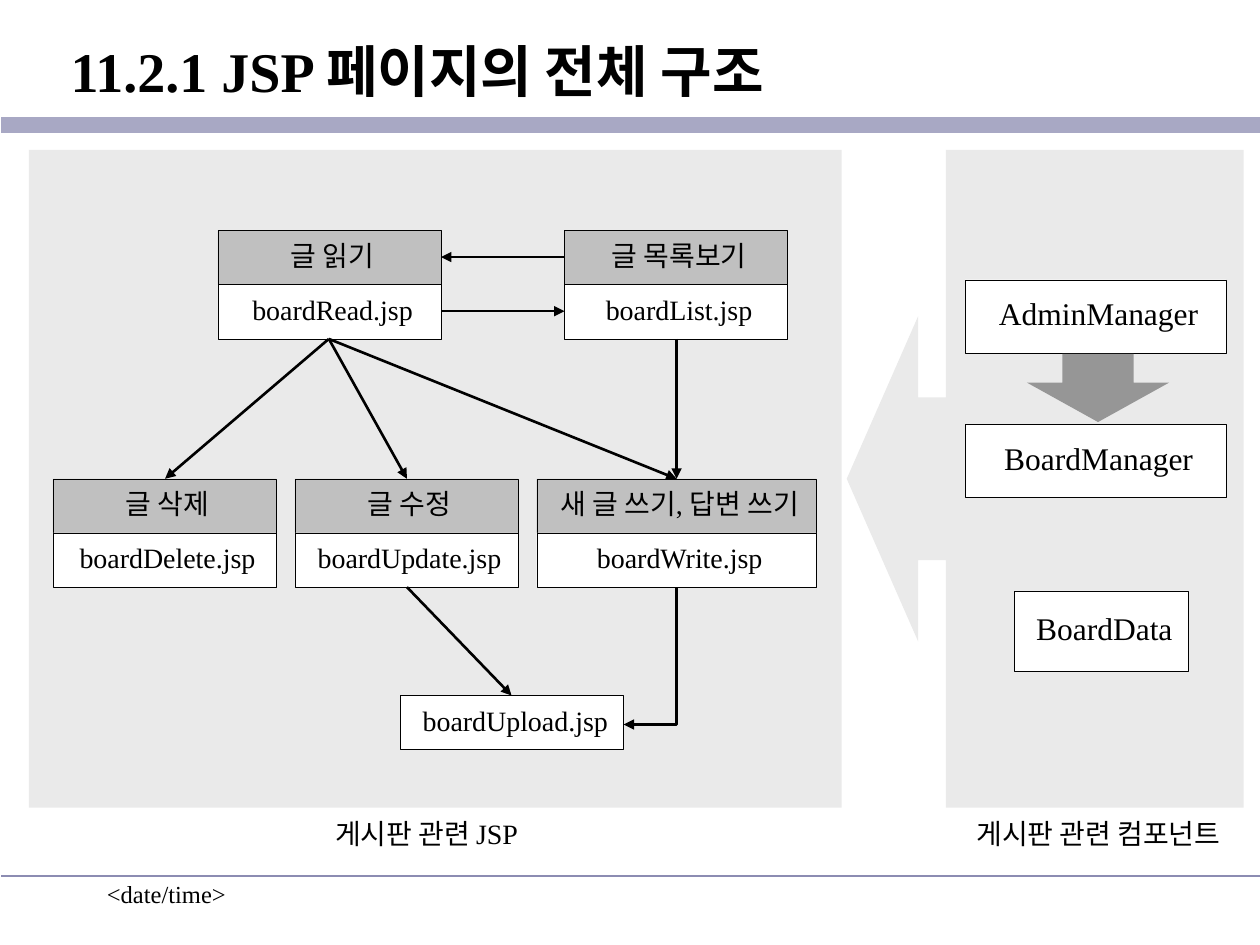
"""Build the slide on the overall structure of the board's JSP pages."""
from pptx import Presentation, util as u
from pptx.dml.color import RGBColor
from pptx.enum import shapes, text
from pptx.oxml.ns import qn
from lxml import etree

COLORS = {"black": "000000", "white": "FFFFFF", "panel": "EAEAEA", "header": "C0C0C0",
          "arrow": "969696", "bar": "A8A8C4", "rule": "8C8CB2"}
SHAPE = shapes.MSO_SHAPE
FONT = "Times New Roman"
WIDTH, HEIGHT = 10, 7.5
ROW = 0.43

presentation = Presentation()
presentation.slide_width, presentation.slide_height = u.Inches(WIDTH), u.Inches(HEIGHT)
slide = presentation.slides.add_slide(presentation.slide_layouts[5])


def add_box(kind, left, top, width, height, fill=None, border=False, label="", size=16):
    """Add a shape, or a text box when kind is None, with an optional label."""
    area = [u.Inches(value) for value in (left, top, width, height)]
    if kind is None:
        shape = slide.shapes.add_textbox(*area)
    else:
        shape = slide.shapes.add_shape(kind, *area)
        shape.shadow.inherit = False
        shape.fill.solid()
        shape.fill.fore_color.rgb = RGBColor.from_string(COLORS[fill])
        if border:
            shape.line.color.rgb = RGBColor.from_string(COLORS["black"])
            shape.line.width = u.Pt(0.26)
        else:
            shape.line.fill.background()
    if label:
        frame = shape.text_frame
        frame.text = label
        frame.margin_left, frame.margin_right = u.Inches(0.05), 0
        frame.margin_top = frame.margin_bottom = u.Inches(0.05)
        frame.word_wrap = kind is not None
        frame.vertical_anchor = text.MSO_ANCHOR.MIDDLE if kind else text.MSO_ANCHOR.TOP
        paragraph = frame.paragraphs[0]
        paragraph.alignment = text.PP_ALIGN.CENTER if kind else text.PP_ALIGN.LEFT
        paragraph.line_spacing = 0.85
        paragraph.space_before = u.Pt(size * 0.62)
        font = paragraph.runs[0].font
        font.name, font.size = FONT, u.Pt(size)
        font.color.rgb = RGBColor.from_string(COLORS["black"])
    return shape


def add_line(start, end, color="black", width=1.5, arrow=True):
    """Add a straight line, with an arrowhead at its end if asked."""
    points = [u.Inches(value) for value in (*start, *end)]
    line = slide.shapes.add_connector(shapes.MSO_CONNECTOR.STRAIGHT, *points)
    line.line.color.rgb = RGBColor.from_string(COLORS[color])
    line.line.width = u.Pt(width)
    if arrow:
        etree.SubElement(line.line._get_or_add_ln(), qn("a:tailEnd"), type="triangle")
    etree.SubElement(line._element.spPr, qn("a:effectLst"))
    return line


for top, color, width in [(0.99, "bar", 9.24), (6.95, "rule", 0.99)]:
    add_line((0.01, top), (WIDTH, top), color, width, arrow=False)

title = slide.shapes.title
title.left, title.top, title.width, title.height = [u.Inches(v) for v in (0.01, 0.11, 9.99, 0.9)]
title.text_frame.text = "11.2.1 JSP 페이지의 전체 구조"
title.text_frame.margin_left = u.Inches(0.55)
title.text_frame.vertical_anchor = text.MSO_ANCHOR.MIDDLE
title.text_frame.paragraphs[0].alignment = text.PP_ALIGN.LEFT
title_font = title.text_frame.paragraphs[0].runs[0].font
title_font.name, title_font.size, title_font.bold = FONT, u.Pt(32), True
title_font.color.rgb = RGBColor.from_string(COLORS["black"])

date = add_box(None, 0.75, 6.93, 2.08, 0.5, label="<date/time>", size=14)
date.text_frame.margin_left = u.Inches(0.1)
date.text_frame.paragraphs[0].line_spacing = 1.0
date.text_frame.paragraphs[0].space_before = u.Pt(0)

components = add_box(SHAPE.LEFT_ARROW_CALLOUT, 6.72, 1.19, 3.15, 5.22, "panel")
for index, value in enumerate([0.41, 0.41, 0.18, 0.75]):
    components.adjustments[index] = value
add_box(SHAPE.RECTANGLE, 0.23, 1.19, 6.45, 5.22, "panel")
for left, width, label in [(7.7, 1.99, "게시판 관련 컴포넌트"), (2.61, 1.56, "게시판 관련 JSP")]:
    add_box(None, left, 6.47, width, 0.33, label=label)

UPPER, LOWER, UPLOAD = 1.83, 3.8, 5.52
pages = [
    (4.48, UPPER, 1.77, "글 목록보기", "boardList.jsp"),
    (1.73, UPPER, 1.77, "글 읽기", "boardRead.jsp"),
    (4.26, LOWER, 2.22, "새 글 쓰기, 답변 쓰기", "boardWrite.jsp"),
    (2.34, LOWER, 1.77, "글 수정", "boardUpdate.jsp"),
    (0.42, LOWER, 1.77, "글 삭제", "boardDelete.jsp"),
]
for left, top, width, name, file_name in pages:
    add_box(SHAPE.RECTANGLE, left, top, width, ROW, "header", True, name)
    add_box(SHAPE.RECTANGLE, left, top + ROW, width, ROW, "white", True, file_name)
add_box(SHAPE.RECTANGLE, 3.18, UPLOAD, 1.77, ROW, "white", True, "boardUpload.jsp")

classes = [(7.66, 3.37, 2.07, 0.58, "BoardManager"), (8.05, 4.69, 1.38, 0.64, "BoardData"),
           (7.66, 2.22, 2.07, 0.58, "AdminManager")]
for left, top, width, height, name in classes:
    add_box(SHAPE.RECTANGLE, left, top, width, height, "white", True, name, 18)
down_arrow = add_box(SHAPE.DOWN_ARROW, 8.15, 2.81, 1.13, 0.54, "arrow")
down_arrow.adjustments[0], down_arrow.adjustments[1] = 0.5, 0.58

READ, DELETE, UPDATE, WRITE = 2.61, 1.31, 3.23, 5.37
UPPER_END, LOWER_END = UPPER + 2 * ROW, LOWER + 2 * ROW
add_line((4.48, 2.04), (3.5, 2.04))
add_line((3.5, 2.47), (4.48, 2.47))
for start, end in [(READ, UPDATE), (READ, DELETE), (READ, WRITE), (WRITE, WRITE)]:
    add_line((start, UPPER_END), (end, LOWER))
add_line((UPDATE, LOWER_END), (4.06, UPLOAD))

drop, run = 1.09, 0.42
middle_x, middle_y = WRITE - run / 2, LOWER_END + drop / 2
elbow = add_line((middle_x - drop / 2, middle_y - run / 2), (middle_x + drop / 2, middle_y + run / 2))
elbow._element.spPr.find(qn("a:prstGeom")).set("prst", "bentConnector2")
elbow._element.spPr.find(qn("a:xfrm")).set("rot", str(90 * 60000))

presentation.save("out.pptx")
